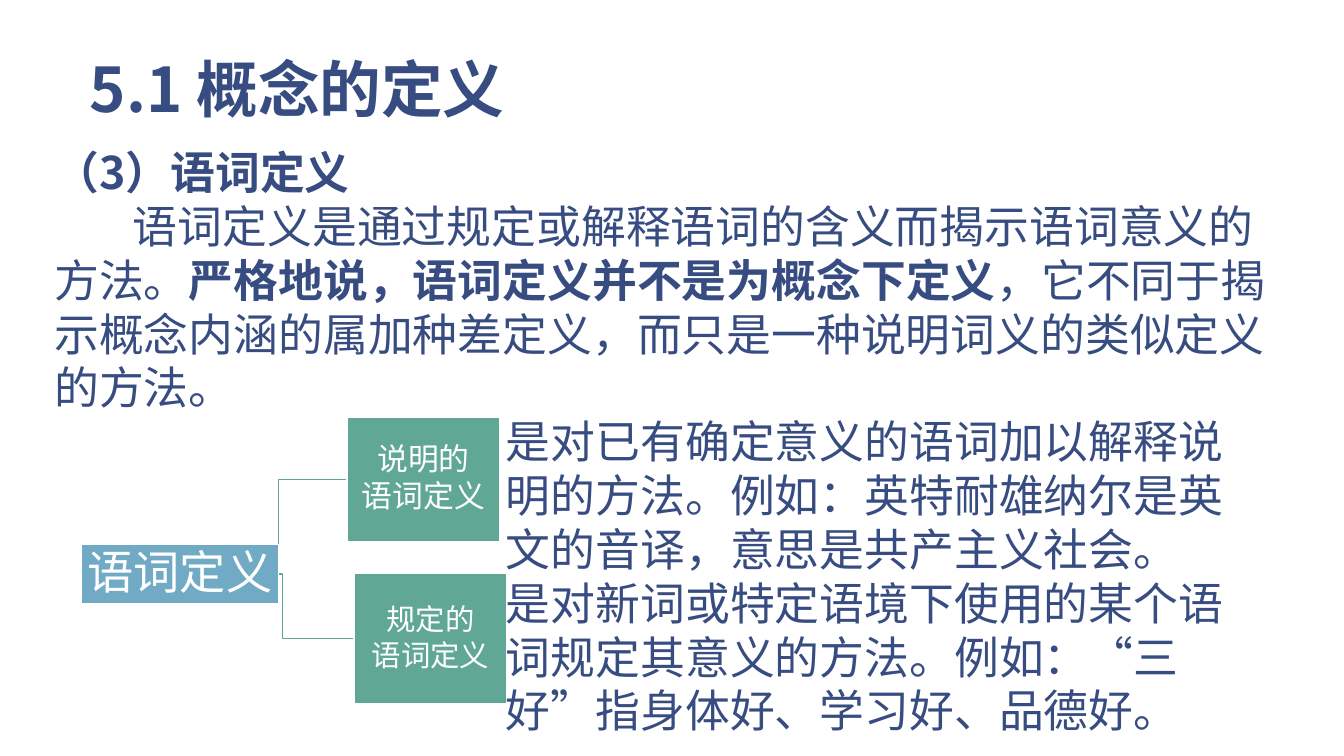
import pptx
import pptx.dml.color
import pptx.enum.shapes
import pptx.enum.text
import pptx.oxml
import pptx.oxml.ns
import pptx.util
from pptx.util import Inches

COLORS = {"navy": "374C81", "blue": "70AAC4", "green": "61A796", "white": "FFFFFF"}
CHINESE_FONT = "Noto Sans CJK SC"
NODE_FONT = "TeX Gyre Adventor"


def color(name):
    return pptx.dml.color.RGBColor.from_string(COLORS[name])


def format_run(run, size, color_name, bold=False, font=CHINESE_FONT):
    run.font.size = pptx.util.Pt(size)
    run.font.bold = bold
    run.font.name = font
    run.font.color.rgb = color(color_name)
    east_asian = pptx.oxml.parse_xml(
        f'<a:ea {pptx.oxml.ns.nsdecls("a")} typeface="{CHINESE_FONT}"/>'
    )
    run.font._element.find(pptx.oxml.ns.qn("a:latin")).addnext(east_asian)


def add_text(slide, box, paragraphs, size, indent=0):
    text_frame = slide.shapes.add_textbox(*map(Inches, box)).text_frame
    text_frame.word_wrap = True
    for index, pieces in enumerate(paragraphs):
        paragraph = text_frame.paragraphs[0] if index == 0 else text_frame.add_paragraph()
        if index > 0:
            paragraph._p.get_or_add_pPr().set("indent", str(Inches(indent)))
        for text, bold in pieces:
            run = paragraph.add_run()
            run.text = text
            format_run(run, size, "navy", bold)
    return text_frame


def add_title(slide, box):
    text_frame = add_text(slide, box, [[("5.1 概念的定义", True)]], 44)
    text_frame.vertical_anchor = pptx.enum.text.MSO_ANCHOR.BOTTOM
    text_frame.margin_left = text_frame.margin_right = Inches(0.13)
    text_frame.margin_top = text_frame.margin_bottom = Inches(0.07)
    text_frame.paragraphs[0].line_spacing = 0.85


def add_definition(slide, box):
    paragraphs = [
        [("（3）语词定义", True)],
        [
            ("语词定义是通过规定或解释语词的含义而揭示语词意义的方法。", False),
            ("严格地说，语词定义并不是为概念下定义", True),
            ("，它不同于揭示概念内涵的属加种差定义，而只是一种说明词义的类似定义的方法。", False),
        ],
    ]
    add_text(slide, box, paragraphs, 32, indent=0.78)


def add_node(slide, box, text, size, fill):
    shape = slide.shapes.add_shape(
        pptx.enum.shapes.MSO_SHAPE.RECTANGLE, *map(Inches, box)
    )
    shape.shadow.inherit = False
    shape.fill.solid()
    shape.fill.fore_color.rgb = color(fill)
    shape.line.color.rgb = color("white")
    shape.line.width = pptx.util.Pt(1)
    text_frame = shape.text_frame
    text_frame.word_wrap = True
    text_frame.vertical_anchor = pptx.enum.text.MSO_ANCHOR.MIDDLE
    text_frame.margin_left = text_frame.margin_right = Inches(0.02)
    text_frame.margin_top = text_frame.margin_bottom = Inches(0.02)
    text_frame.text = text
    for paragraph in text_frame.paragraphs:
        paragraph.alignment = pptx.enum.text.PP_ALIGN.CENTER
        paragraph.line_spacing = 0.9
        paragraph.space_after = pptx.util.Pt(3)
        format_run(paragraph.runs[0], size, "white", font=NODE_FONT)


def add_branch(slide, start, end):
    connector = slide.shapes.add_connector(
        pptx.enum.shapes.MSO_CONNECTOR.ELBOW, *map(Inches, start + end)
    )
    connector.line.color.rgb = color("green")
    connector.line.width = pptx.util.Pt(1)
    connector._element.spPr.append(
        pptx.oxml.parse_xml(f'<a:effectLst {pptx.oxml.ns.nsdecls("a")}/>')
    )


def add_tree(slide, box):
    left, top, width, height = box
    root = (left, top + 1.26, 1.95, 0.59)
    root_middle = root[1] + root[3] / 2
    kinds = [
        ((left + 2.63, top, 1.52, 1.23), "说明的\n语词定义", 22,
         "是对已有确定意义的语词加以解释说明的方法。例如：英特耐雄纳尔是英文的音译，意思是共产主义社会。"),
        ((left + 2.7, top + 1.55, 1.52, 1.29), "规定的\n语词定义", 21,
         "是对新词或特定语境下使用的某个语词规定其意义的方法。例如：“三好”指身体好、学习好、品德好。"),
    ]
    for node, name, size, meaning in kinds:
        add_branch(slide, (left + 1.28, root_middle), (node[0], node[1] + node[3] / 2))
    add_node(slide, root, "语词定义", 33, "blue")
    text_left = left + 4.11
    text_height = height / 2
    for index, (node, name, size, meaning) in enumerate(kinds):
        add_node(slide, node, name, size, "green")
        text_box = (text_left, top - 0.08 + index * text_height,
                    left + width - text_left, text_height)
        add_text(slide, text_box, [[(meaning, False)]], 32)


def main():
    presentation = pptx.Presentation()
    presentation.slide_width = Inches(13.33)
    presentation.slide_height = Inches(7.5)
    slide = presentation.slides.add_slide(presentation.slide_layouts[6])
    add_title(slide, (0.76, 0.13, 11.11, 1.18))
    add_definition(slide, (0.44, 1.39, 12.36, 2.75))
    add_tree(slide, (0.81, 4.14, 11.81, 3.2))
    presentation.save("out.pptx")


if __name__ == "__main__":
    main()
